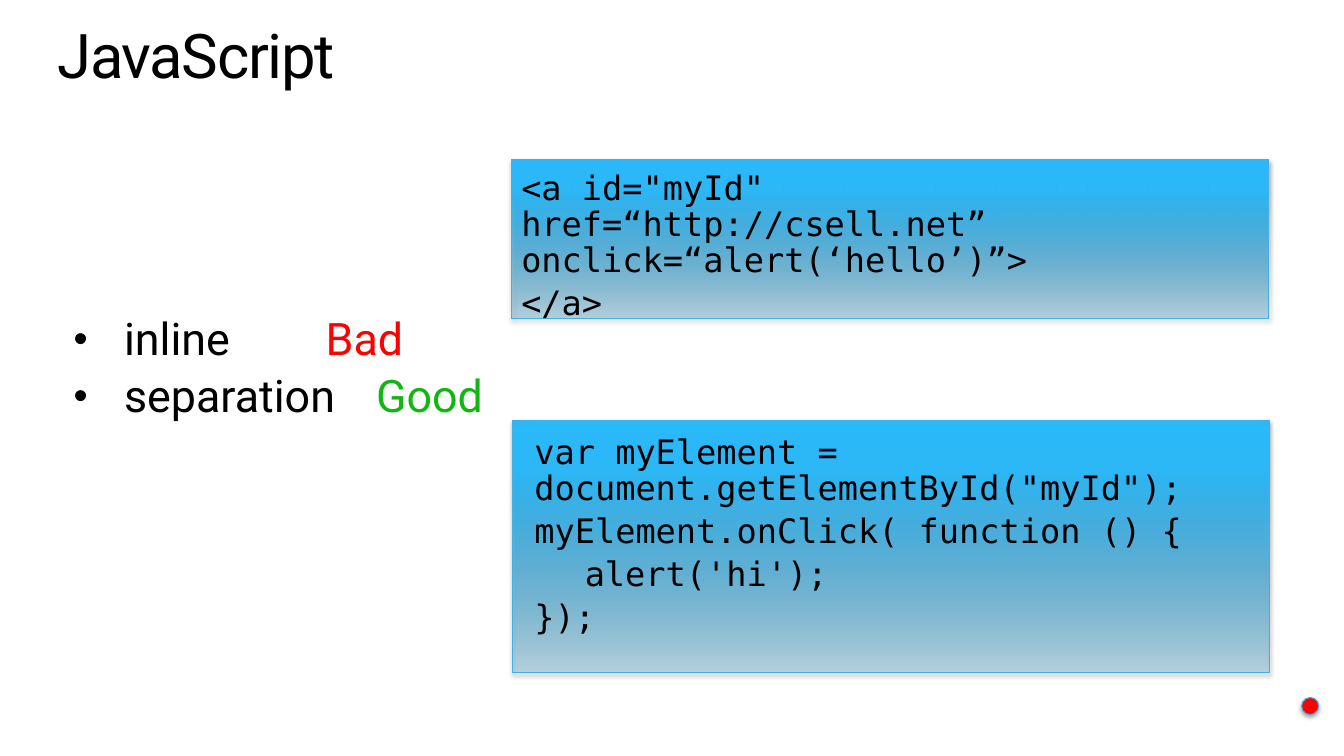
from lxml import etree
from pptx import Presentation
from pptx.dml.color import RGBColor
from pptx.enum import shapes, text
from pptx.oxml.ns import qn
from pptx import util as u

PX = 9144  # 100 px to the inch
COLORS = {
    "ink": "000000", "bad": "FF0000", "good": "12B612", "edge": "41B1E5",
    "low": "228DBE", "middle": "2DB7F6", "high": "29B9FB", "shadow": "000000",
}
PANEL_STOPS = [(0, "low", 25), (80, "middle", 100), (100, "high", 100)]
LABEL_FONT, CODE_FONT = "Roboto", "DejaVu Sans Mono"

MARKUP = ['<a id="myId" \thref=“http://csell.net” \tonclick=“alert(‘hello’)”>', "</a>"]
SCRIPT = [
    'var myElement = document.getElementById("myId");',
    "myElement.onClick( function () {",
    "\talert('hi');",
    "});",
]
CHOICES = [("inline \t\t", "Bad", "bad"), ("separation \t", "Good", "good")]


def color(name):
    return RGBColor.from_string(COLORS[name])


def add_color(parent, name, percent):
    node = etree.SubElement(parent, qn("a:srgbClr"), val=COLORS[name])
    if percent < 100:
        etree.SubElement(node, qn("a:alpha"), val=str(percent * 1000))


def place(box, left, top, width, height):
    box.left, box.top, box.width, box.height = (
        n * PX for n in (left, top, width, height))


def set_frame(frame):
    frame.margin_left = frame.margin_top = frame.margin_right = frame.margin_bottom = 0
    frame.word_wrap = True
    frame.auto_size = text.MSO_AUTO_SIZE.SHAPE_TO_FIT_TEXT
    frame.vertical_anchor = text.MSO_ANCHOR.TOP


def format_paragraphs(frame, font, size):
    """Style every run; paragraphs after the first get a fifth of a line above."""
    for index, para in enumerate(frame.paragraphs):
        para.alignment = text.PP_ALIGN.LEFT
        para.line_spacing = 0.9
        para.space_before = u.Pt(size * 0.2 if index else 0)
        for span in para.runs:
            span.font.name, span.font.size = font, u.Pt(size)
            span.font.color.rgb = color("ink")


def add_bullet(para):
    props = para._p.get_or_add_pPr()
    props.set("marL", str(50 * PX))
    props.set("indent", str(-50 * PX))
    etree.SubElement(props, qn("a:buSzPct"), val="90000")
    etree.SubElement(props, qn("a:buFont"), typeface="Arial")
    etree.SubElement(props, qn("a:buChar"), char="•")


def fill_title(box):
    place(box, 57, 25, 1219, 67)
    box.text_frame.text = "JavaScript"
    set_frame(box.text_frame)
    format_paragraphs(box.text_frame, LABEL_FONT, 44)
    box.text_frame.paragraphs[0].runs[0]._r.get_or_add_rPr().set("spc", "-100")


def fill_choices(box):
    place(box, 73, 314, 576, 108)
    frame = box.text_frame
    set_frame(frame)
    frame.text = "\n".join(label for label, _, _ in CHOICES)
    for para, (_, verdict, _) in zip(frame.paragraphs, CHOICES):
        add_bullet(para)
        para.add_run().text = verdict
    format_paragraphs(frame, LABEL_FONT, 32)
    for para, (_, _, tint) in zip(frame.paragraphs, CHOICES):
        para.runs[-1].font.color.rgb = color(tint)


def add_raised_shape(page, kind, left, top, width, height):
    """Add an outlined shape with a soft shadow below it."""
    shape = page.shapes.add_shape(kind, *(n * PX for n in (left, top, width, height)))
    shape.line.color.rgb = color("edge")
    shape.line.width = u.Pt(0.75)
    shape.shadow.inherit = False
    effects = shape._element.spPr.find(qn("a:effectLst"))
    shadow = etree.SubElement(
        effects, qn("a:outerShdw"), blurRad=str(u.Pt(3.1)), dist=str(u.Pt(1.8)),
        dir="5400000", rotWithShape="0")
    add_color(shadow, "shadow", 35)
    return shape


def add_panel(page, left, top, width, height):
    panel = add_raised_shape(
        page, shapes.MSO_SHAPE.RECTANGLE, left, top, width, height)
    panel.fill.gradient()
    panel.fill.gradient_angle = 90
    stops = panel._element.spPr.find(qn("a:gradFill")).find(qn("a:gsLst"))
    for stop in list(stops):
        stops.remove(stop)
    for position, name, percent in PANEL_STOPS:
        stop = etree.SubElement(stops, qn("a:gs"), pos=str(position * 1000))
        add_color(stop, name, percent)


def add_code(page, lines, left, top, width, height):
    box = page.shapes.add_textbox(*(n * PX for n in (left, top, width, height)))
    set_frame(box.text_frame)
    box.text_frame.text = "\n".join(lines)
    format_paragraphs(box.text_frame, CODE_FONT, 24)


def main():
    deck = Presentation()
    deck.slide_width, deck.slide_height = 1333 * PX, 750 * PX
    page = deck.slides.add_slide(deck.slide_layouts[1])
    fill_title(page.shapes.title)
    fill_choices(page.placeholders[1])
    add_panel(page, 507, 158, 751, 158)
    add_code(page, MARKUP, 517, 170, 732, 117)
    add_panel(page, 508, 417, 751, 250)
    add_code(page, SCRIPT, 530, 432, 732, 206)
    dot = add_raised_shape(page, shapes.MSO_SHAPE.OVAL, 1291, 692, 17, 17)
    dot.fill.solid()
    dot.fill.fore_color.rgb = color("bad")
    deck.save("out.pptx")


if __name__ == "__main__":
    main()
